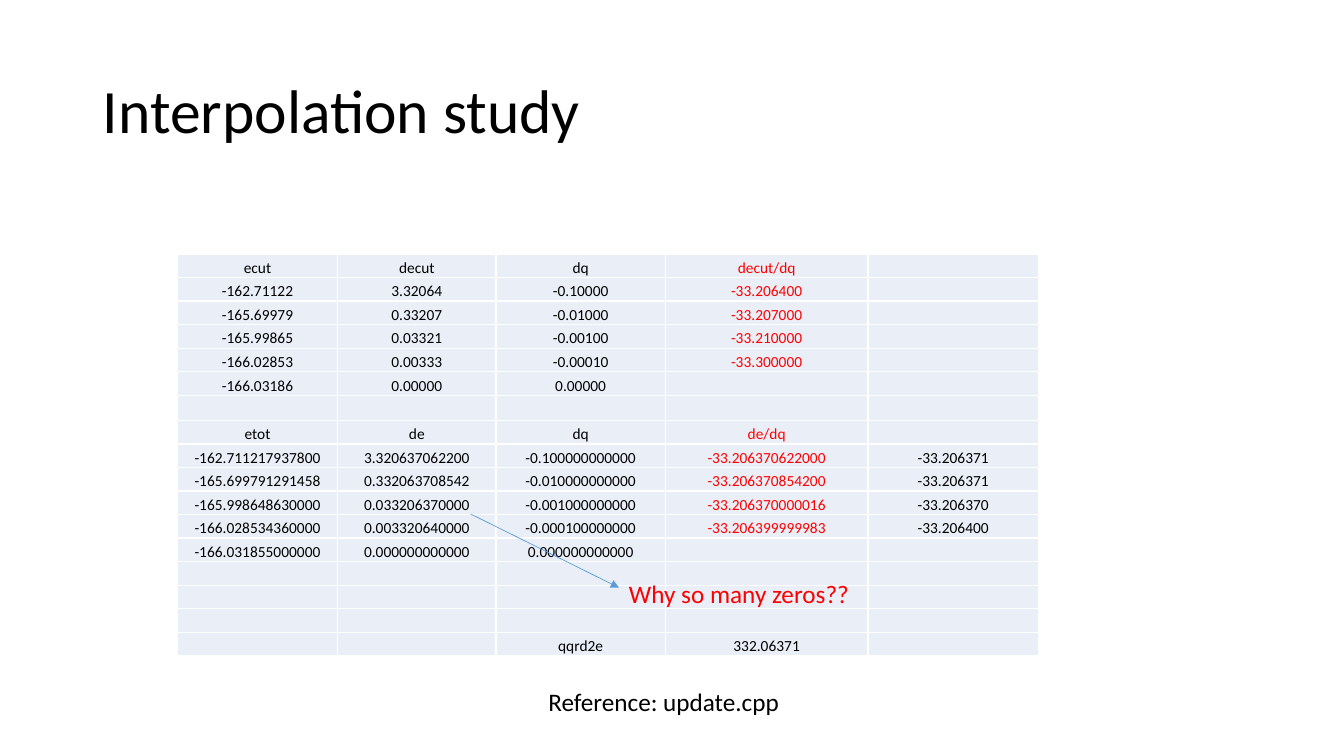
from dataclasses import dataclass

from lxml.etree import SubElement
from pptx import Presentation
from pptx.dml.color import RGBColor
from pptx.enum.shapes import MSO_CONNECTOR
from pptx.enum.text import MSO_ANCHOR, MSO_AUTO_SIZE, PP_ALIGN
from pptx.oxml.ns import qn
from pptx.slide import Slide
from pptx.table import _Cell
from pptx.text.text import _Paragraph
from pptx.util import Inches, Pt

BLACK = RGBColor(0x00, 0x00, 0x00)
RED = RGBColor(0xFF, 0x00, 0x00)
WHITE = RGBColor(0xFF, 0xFF, 0xFF)
PALE_BLUE = RGBColor(0xEA, 0xEF, 0xF7)
ARROW_BLUE = RGBColor(0x5B, 0x9B, 0xD5)
FONT_NAME = "Calibri"
CELL_SIZE = 11

COLUMN_WIDTHS = [1.59, 1.57, 1.68, 2.01, 1.69]
TABLE_HEIGHT = 3.99
SPACER_ROW = 6
SPACER_HEIGHT = 0.25
RATIO_COLUMN = 3
CELL_FORMAT = {
    "vertical_anchor": MSO_ANCHOR.BOTTOM,
    "margin_left": Inches(0.01),
    "margin_top": Inches(0.01),
    "margin_right": Inches(0.01),
    "margin_bottom": Inches(0),
}
ROWS = [
    ["ecut", "decut", "dq", "decut/dq", ""],
    ["-162.71122", "3.32064", "-0.10000", "-33.206400", ""],
    ["-165.69979", "0.33207", "-0.01000", "-33.207000", ""],
    ["-165.99865", "0.03321", "-0.00100", "-33.210000", ""],
    ["-166.02853", "0.00333", "-0.00010", "-33.300000", ""],
    ["-166.03186", "0.00000", "0.00000", "", ""],
    [""] * 5,
    ["etot", "de", "dq", "de/dq", ""],
    ["-162.711217937800", "3.320637062200", "-0.100000000000", "-33.206370622000", "-33.206371"],
    ["-165.699791291458", "0.332063708542", "-0.010000000000", "-33.206370854200", "-33.206371"],
    ["-165.998648630000", "0.033206370000", "-0.001000000000", "-33.206370000016", "-33.206370"],
    ["-166.028534360000", "0.003320640000", "-0.000100000000", "-33.206399999983", "-33.206400"],
    ["-166.031855000000", "0.000000000000", "0.000000000000", "", ""],
    [""] * 5,
    [""] * 5,
    [""] * 5,
    ["", "", "qqrd2e", "332.06371", ""],
]


@dataclass
class Label:
    text: str
    left: float
    top: float
    color: RGBColor


REFERENCE = Label("Reference: update.cpp", 5.34, 6.76, BLACK)
QUESTION = Label("Why so many zeros??", 6.14, 5.69, RED)


def write_text(paragraph: _Paragraph, text: str, size: float, color: RGBColor) -> None:
    run = paragraph.add_run()
    run.text = text
    for name, value in {"name": FONT_NAME, "size": Pt(size)}.items():
        setattr(run.font, name, value)
    run.font.color.rgb = color


def add_title(slide: Slide, text: str) -> None:
    title = slide.shapes.title
    place = {"left": 0.92, "top": 0.4, "width": 11.5, "height": 1.45}
    for name, value in place.items():
        setattr(title, name, Inches(value))
    title.text_frame.vertical_anchor = MSO_ANCHOR.MIDDLE
    paragraph = title.text_frame.paragraphs[0]
    paragraph.alignment = PP_ALIGN.LEFT
    paragraph.line_spacing = 0.9
    write_text(paragraph, text, 44, BLACK)


def format_cell(cell: _Cell, text: str, color: RGBColor) -> None:
    for name, value in CELL_FORMAT.items():
        setattr(cell, name, value)
    properties = cell._tc.get_or_add_tcPr()
    for edge in ("a:lnL", "a:lnR", "a:lnT", "a:lnB"):
        border = SubElement(properties, qn(edge), w=str(Pt(1)))
        fill = SubElement(border, qn("a:solidFill"))
        SubElement(fill, qn("a:srgbClr"), val=str(WHITE))
    cell.fill.solid()
    cell.fill.fore_color.rgb = PALE_BLUE
    paragraph = cell.text_frame.paragraphs[0]
    paragraph.alignment = PP_ALIGN.CENTER
    if text:
        write_text(paragraph, text, CELL_SIZE, color)
    else:
        SubElement(paragraph._p, qn("a:endParaRPr"), sz=str(CELL_SIZE * 100))


def add_energy_table(slide: Slide) -> None:
    table = slide.shapes.add_table(
        len(ROWS), len(COLUMN_WIDTHS), Inches(1.76), Inches(2.52),
        Inches(sum(COLUMN_WIDTHS)), Inches(TABLE_HEIGHT),
    ).table
    table.first_row = False
    table.horz_banding = False
    for column, width in zip(table.columns, COLUMN_WIDTHS):
        column.width = Inches(width)
    row_height = (TABLE_HEIGHT - SPACER_HEIGHT) / (len(ROWS) - 1)
    last_row = len(ROWS) - 1
    for row_index, values in enumerate(ROWS):
        height = SPACER_HEIGHT if row_index == SPACER_ROW else row_height
        table.rows[row_index].height = Inches(height)
        for column_index, text in enumerate(values):
            is_ratio = column_index == RATIO_COLUMN and row_index < last_row
            format_cell(table.cell(row_index, column_index), text, RED if is_ratio else BLACK)


def add_label(slide: Slide, label: Label) -> None:
    text_box = slide.shapes.add_textbox(
        Inches(label.left), Inches(label.top), Inches(3.67), Inches(0.4)
    )
    text_frame = text_box.text_frame
    text_frame.word_wrap = True
    text_frame.auto_size = MSO_AUTO_SIZE.SHAPE_TO_FIT_TEXT
    write_text(text_frame.paragraphs[0], label.text, 18, label.color)


def add_arrow(slide: Slide) -> None:
    arrow = slide.shapes.add_connector(
        MSO_CONNECTOR.STRAIGHT, Inches(4.67), Inches(5.1), Inches(6.14), Inches(5.83)
    )
    arrow.line.color.rgb = ARROW_BLUE
    arrow.line.width = Pt(0.5)
    SubElement(arrow.line._get_or_add_ln(), qn("a:tailEnd"), type="triangle")
    SubElement(arrow._element.spPr, qn("a:effectLst"))


presentation = Presentation()
presentation.slide_width = Inches(13.33)
presentation.slide_height = Inches(7.5)
slide = presentation.slides.add_slide(presentation.slide_layouts[5])
add_title(slide, "Interpolation study")
add_energy_table(slide)
add_label(slide, REFERENCE)
add_arrow(slide)
add_label(slide, QUESTION)
presentation.save("out.pptx")
